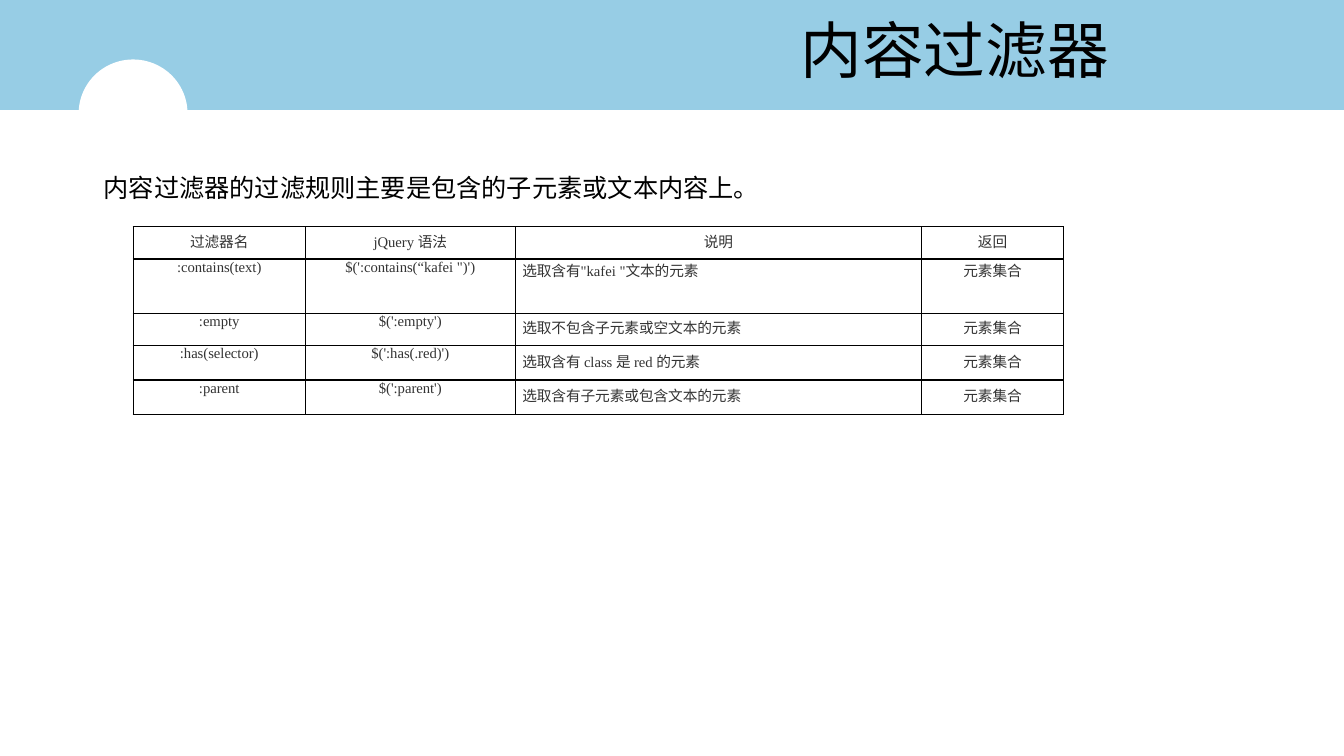
from lxml import etree
from pptx import Presentation
from pptx import util as u
from pptx.dml.color import RGBColor
from pptx.enum import shapes, text
from pptx.oxml.ns import qn

COLORS = {"band": "97CDE5", "paper": "FFFFFF", "ink": "000000", "cell": "333333"}
LATIN, CJK = "Times New Roman", "Noto Sans CJK JP"
CENTER, LEFT = text.PP_ALIGN.CENTER, text.PP_ALIGN.LEFT

COLUMN_WIDTHS = [1.71, 2.08, 4.03, 1.41]
ROW_HEIGHTS = [0.32, 0.54, 0.32, 0.34, 0.34]
# "|" separates runs of different scripts
FILTERS = [
    ["过滤器名", "jQuery |语法", "说明", "返回"],
    [":contains(text)", "$(':contains(“kafei \")')", "选取含有|\"kafei \"|文本的元素", "元素集合"],
    [":empty", "$(':empty')", "选取不包含子元素或空文本的元素", "元素集合"],
    [":has(selector)", "$(':has(.red)')", "选取含有 |class |是 |red |的元素", "元素集合"],
    [":parent", "$(':parent')", "选取含有子元素或包含文本的元素", "元素集合"],
]


def line(points):
    return {"line_spacing": u.Pt(points)}


def before(points):
    return {"space_before": u.Pt(points)}


# Paragraph spacing for each row, column by column
SPACINGS = [
    [line(17.6)] * 4,
    [before(9.5), before(1.7), before(3.8), before(3.8)],
    [before(3.2)] * 2 + [line(17.6)] * 2,
    [before(3.7)] * 2 + [line(18.6)] * 2,
    [before(3.8)] * 2 + [line(18.6)] * 2,
]


def apply(target, values):
    for name, value in values.items():
        setattr(target, name, value)


def rgb(color):
    return RGBColor.from_string(COLORS[color])


def add_run(paragraph, words, size, font, color):
    run = paragraph.add_run()
    apply(run, {"text": words})
    apply(run.font, {"size": u.Pt(size), "name": font})
    run.font.color.rgb = rgb(color)
    return run


def add_block(slide, kind, box, color):
    block = slide.shapes.add_shape(kind, *map(u.Inches, box))
    block.shadow.inherit = False
    block.fill.solid()
    block.fill.fore_color.rgb = rgb(color)
    block.line.fill.background()


def add_label(slide, box, words, size, align, frame_format):
    frame = slide.shapes.add_textbox(*map(u.Inches, box)).text_frame
    apply(frame, {"word_wrap": True, **frame_format})
    frame.paragraphs[0].alignment = align
    add_run(frame.paragraphs[0], words, size, "Calibri", "ink")


def add_borders(cell):
    properties = cell._tc.get_or_add_tcPr()
    for side in ("a:lnL", "a:lnR", "a:lnT", "a:lnB"):
        border = etree.SubElement(properties, qn(side), w=str(u.Pt(1)))
        fill = etree.SubElement(border, qn("a:solidFill"))
        etree.SubElement(fill, qn("a:srgbClr"), val=COLORS["ink"])


def fill_cell(cell, words, align, spacing):
    apply(cell, dict.fromkeys(
        ("margin_left", "margin_right", "margin_top", "margin_bottom"), 0))
    add_borders(cell)
    cell.fill.background()
    paragraph = cell.text_frame.paragraphs[0]
    apply(paragraph, {"alignment": align, **spacing})
    if align == LEFT:
        paragraph._p.get_or_add_pPr().set("marL", str(u.Inches(0.07)))
    for part in words.split("|"):
        font = CJK if max(part) >= "一" else LATIN
        run = add_run(paragraph, part, 10.5, font, "cell")
        etree.SubElement(run._r.get_or_add_rPr(), qn("a:ea"), typeface=font)


def add_filter_table(slide, left, top):
    box = (left, top, sum(COLUMN_WIDTHS), sum(ROW_HEIGHTS))
    table = slide.shapes.add_table(
        len(ROW_HEIGHTS), len(COLUMN_WIDTHS), *map(u.Inches, box)).table
    apply(table, {"first_row": False, "horz_banding": False})
    for column, width in zip(table.columns, COLUMN_WIDTHS):
        column.width = u.Inches(width)
    for row, height in zip(table.rows, ROW_HEIGHTS):
        row.height = u.Inches(height)
    for r, (row_words, row_spacing) in enumerate(zip(FILTERS, SPACINGS)):
        for c, (words, spacing) in enumerate(zip(row_words, row_spacing)):
            align = LEFT if r > 0 and c == 2 else CENTER
            fill_cell(table.cell(r, c), words, align, spacing)


def main():
    deck = Presentation()
    apply(deck, {"slide_width": u.Inches(13.33), "slide_height": u.Inches(7.5)})
    slide = deck.slides.add_slide(deck.slide_layouts[6])

    # Header band with its round notch
    add_block(slide, shapes.MSO_SHAPE.RECTANGLE, (0, 0, 13.33, 1.09), "band")
    add_block(slide, shapes.MSO_SHAPE.OVAL, (0.78, 0.59, 1.08, 1.07), "paper")

    # Title and introduction
    add_label(slide, (5.75, 0.01, 7.44, 0.96), "内容过滤器", 44, CENTER,
              {"vertical_anchor": text.MSO_ANCHOR.MIDDLE})
    add_label(slide, (0.93, 1.66, 8.95, 0.71),
              "内容过滤器的过滤规则主要是包含的子元素或文本内容上。", 18, LEFT,
              {"auto_size": text.MSO_AUTO_SIZE.SHAPE_TO_FIT_TEXT})

    # Filter reference
    add_filter_table(slide, 1.32, 2.25)

    deck.save("out.pptx")


if __name__ == "__main__":
    main()
